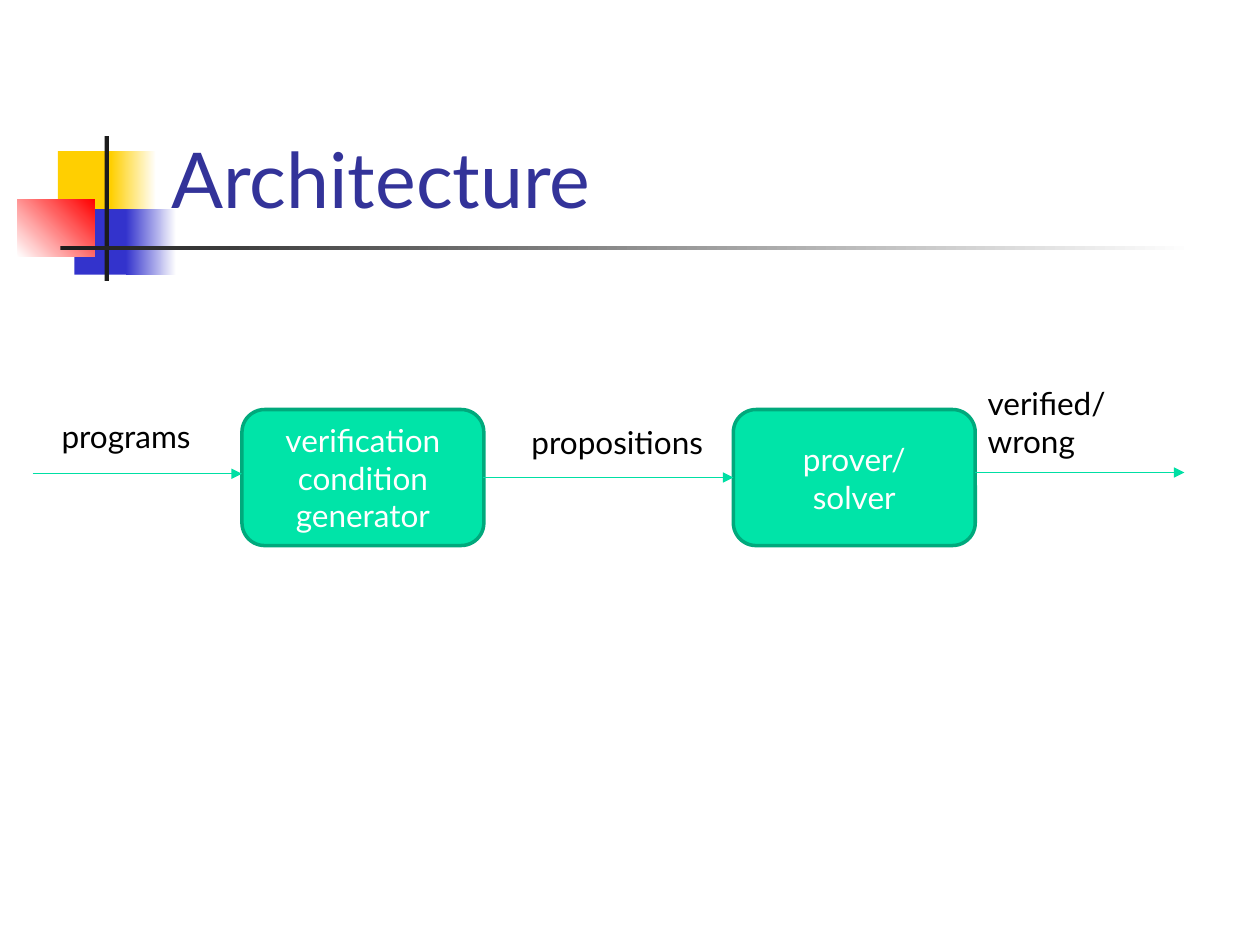
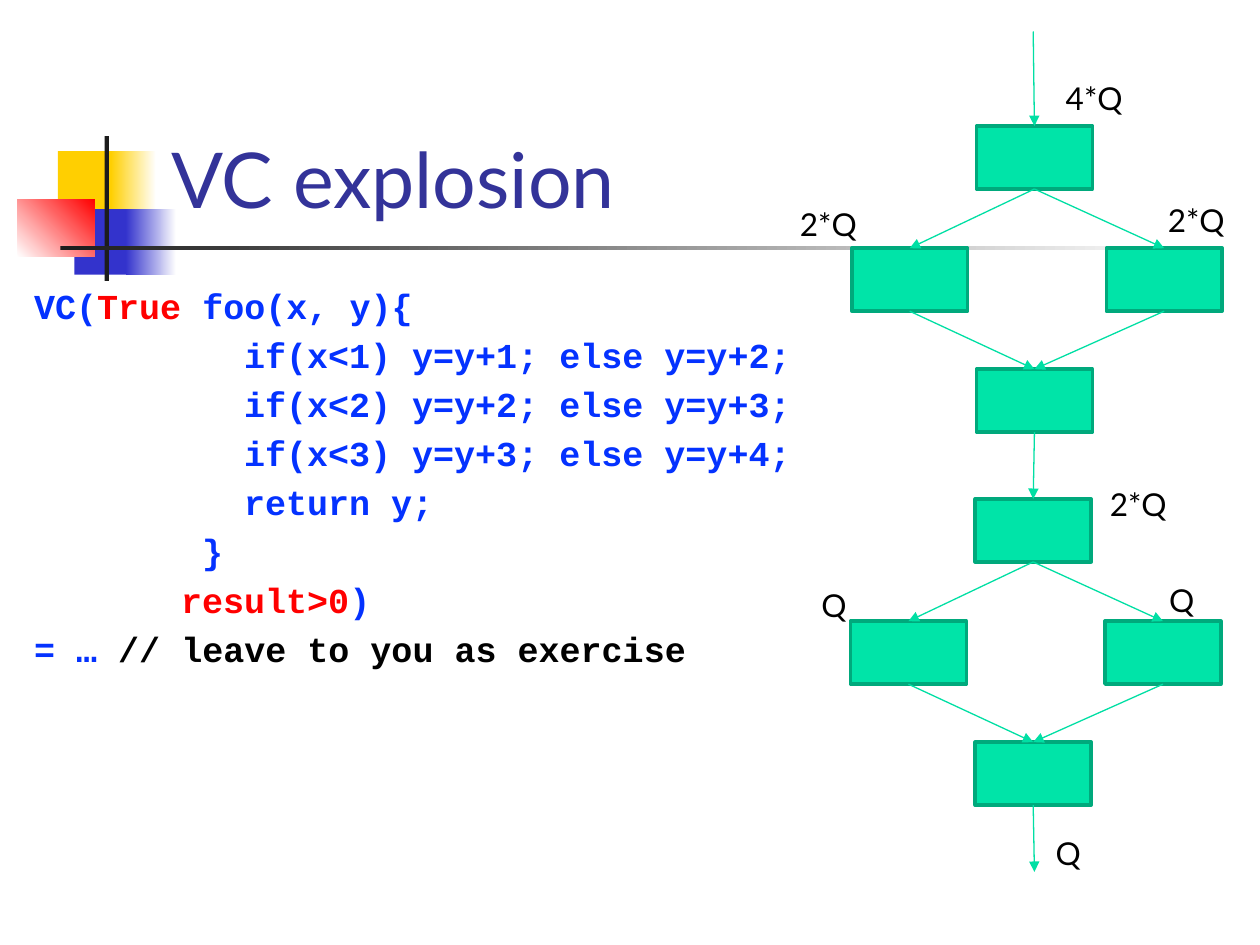
"""Build two slides on program verification: the tool architecture and the VC explosion."""
from dataclasses import dataclass

from lxml.etree import SubElement
from pptx import Presentation
from pptx.dml.color import RGBColor
from pptx.enum.shapes import MSO_CONNECTOR, MSO_SHAPE
from pptx.enum.text import MSO_ANCHOR, MSO_AUTO_SIZE, PP_ALIGN
from pptx.oxml.ns import qn
from pptx.util import Inches, Pt


@dataclass(frozen=True)
class Theme:
    heading: str = "333399"
    yellow: str = "FFCF01"
    blue: str = "3333CC"
    red: str = "FF0000"
    ink: str = "1C1C1C"
    white: str = "FFFFFF"
    black: str = "000000"
    block: str = "00E4A8"
    block_edge: str = "00A97C"
    arrow: str = "00DFA4"
    code: str = "0432FF"
    text_font: str = "Lato"
    code_font: str = "Courier New"
    title_size: int = 44
    label_size: int = 18
    code_size: int = 20


theme = Theme()
prs = Presentation()
prs.slide_width, prs.slide_height = Inches(10), Inches(7.5)
cell = prs.slide_width / 100


def grid(*cells):
    """Turn counts of square cells, 100 across the slide, into lengths."""
    return [round(count * cell) for count in cells]


def style_font(font, size, color, name=theme.text_font):
    """Set size, colour and typeface of a font."""
    font.size, font.name = Pt(size), name
    font.color.rgb = RGBColor.from_string(color)


architecture = prs.slides.add_slide(prs.slide_layouts[5])
explosion = prs.slides.add_slide(prs.slide_layouts[1])

ornaments = [
    ((4.6, 12, 4.8, 5.2), [theme.yellow], 0),
    ((8.8, 12, 3.6, 5.2), [theme.yellow, theme.white], 0),
    ((5.9, 16.6, 4.6, 5.2), [theme.blue], 0),
    ((10, 16.6, 4, 5.2), [theme.blue, theme.white], 0),
    ((1.4, 15.8, 6.1, 4.6), [theme.white, theme.red], 45),
    ((8.3, 10.8, 0.35, 11.5), [theme.ink], 0),
    ((4.8, 19.5, 90, 0.35), [theme.ink, theme.white], 0),
]
master_tree = prs.slide_master.shapes.element
for number, (place, colors, angle) in enumerate(ornaments):
    ornament = architecture.shapes.add_shape(MSO_SHAPE.RECTANGLE, *grid(*place))
    ornament.shadow.inherit = False
    ornament.line.fill.background()
    if len(colors) == 1:
        ornament.fill.solid()
        ornament.fill.fore_color.rgb = RGBColor.from_string(colors[0])
    else:
        ornament.fill.gradient()
        ornament.fill.gradient_angle = angle
        for stop, position, color in zip(ornament.fill.gradient_stops, (0, 1), colors):
            stop.position = position
            stop.color.rgb = RGBColor.from_string(color)
    ornament.element.nvSpPr.cNvPr.id = 20 + number
    master_tree.append(ornament.element)

stage_width, stage_height, stage_top = 19.2, 10.8, 32.5
stages = [
    (19.2, stage_top, "verification\ncondition\ngenerator"),
    (58.2, stage_top, "prover/\nsolver"),
]
stage_arrows = [
    ((2.6, 37.6), (19.2, 37.6)),
    ((38.3, 37.9), (58.2, 37.9)),
    ((77.4, 37.5), (94, 37.5)),
]
stage_labels = [
    ((3.9, 32.6, 17.4, 4), "programs"),
    ((41.2, 33.1, 17.4, 4), "propositions"),
    ((77.4, 30, 17.4, 7.1), "verified/\nwrong"),
]

node_width, node_height = 9.2, 5
diamond = [(0, 0), (-9.9, 9.7), (10.3, 9.7), (0, 19.3)]
branches = [(0, 1), (0, 2), (1, 3), (2, 3)]
nodes = []
node_arrows = [
    ((82, 2.5), (82.1, 10)),
    ((82.1, 34.3), (82, 39.6)),
    ((82, 63.9), (82.1, 69.2)),
]
for left, top in [(77.5, 10), (77.4, 39.6)]:
    corners = [(left + dx, top + dy) for dx, dy in diamond]
    nodes += [(x, y, "") for x, y in corners]
    for source, target in branches:
        (x1, y1), (x2, y2) = corners[source], corners[target]
        node_arrows.append(
            ((x1 + node_width / 2, y1 + node_height), (x2 + node_width / 2, y2))
        )
node_labels = [
    ((x, y, 7.5, 4), size)
    for x, y, size in [
        (82.8, 65.7, "Q"),
        (64.2, 46, "Q"),
        (91.8, 45.6, "Q"),
        (87.1, 38, "2*Q"),
        (62.5, 15.8, "2*Q"),
        (91.7, 15.5, "2*Q"),
        (83.6, 5.8, "4*Q"),
    ]
]

code_lines = [
    (0, [("VC(", theme.code), ("True", theme.red), (" foo(x, y){", theme.code)]),
    (10, [("if(x<1) y=y+1; else y=y+2;", theme.code)]),
    (10, [("if(x<2) y=y+2; else y=y+3;", theme.code)]),
    (10, [("if(x<3) y=y+3; else y=y+4;", theme.code)]),
    (10, [("return y;", theme.code)]),
    (8, [("}", theme.code)]),
    (7, [("result>0", theme.red), (")", theme.code)]),
    (0, [("= … ", theme.code), ("// leave to you as exercise", theme.black)]),
]
character_width = Pt(0.6 * theme.code_size)
body = explosion.placeholders[1]
body.left, body.top, body.width, body.height = grid(1.7, 22.1, 96.3, 45)
listing = body.text_frame
listing.auto_size = MSO_AUTO_SIZE.NONE
for number, (indent, spans) in enumerate(code_lines):
    line = listing.add_paragraph() if number else listing.paragraphs[0]
    properties = line._p.get_or_add_pPr()
    properties.set("marL", str(indent * character_width))
    properties.set("indent", "0")
    SubElement(properties, qn("a:buNone"))
    line.font.size, line.font.name = Pt(theme.code_size), theme.code_font
    line.font.bold = True
    for text, color in spans:
        span = line.add_run()
        span.text = text
        span.font.color.rgb = RGBColor.from_string(color)

pages = [
    (architecture, "Architecture", MSO_SHAPE.ROUNDED_RECTANGLE,
     (stage_width, stage_height), stages, stage_arrows, stage_labels),
    (explosion, "VC explosion", MSO_SHAPE.RECTANGLE,
     (node_width, node_height), nodes, node_arrows, node_labels),
]
for slide, heading, outline, size, blocks, arrows, labels in pages:
    title = slide.shapes.title
    title.left, title.top, title.width, title.height = grid(12.6, 2.3, 85.2, 16)
    title.text_frame.text = heading
    title.text_frame.auto_size = MSO_AUTO_SIZE.NONE
    title.text_frame.vertical_anchor = MSO_ANCHOR.BOTTOM
    title.text_frame.paragraphs[0].alignment = PP_ALIGN.LEFT
    style_font(title.text_frame.paragraphs[0].font, theme.title_size, theme.heading)

    for left, top, text in blocks:
        block = slide.shapes.add_shape(outline, *grid(left, top, *size))
        block.shadow.inherit = False
        block.fill.solid()
        block.fill.fore_color.rgb = RGBColor.from_string(theme.block)
        block.line.color.rgb = RGBColor.from_string(theme.block_edge)
        block.line.width = Pt(2)
        if text:
            block.text_frame.text = text
            block.text_frame.vertical_anchor = MSO_ANCHOR.MIDDLE
            for paragraph in block.text_frame.paragraphs:
                paragraph.alignment = PP_ALIGN.CENTER
                style_font(paragraph.font, theme.label_size, theme.white)

    for start, end in arrows:
        arrow = slide.shapes.add_connector(
            MSO_CONNECTOR.STRAIGHT, *grid(*start, *end)
        )
        arrow.line.color.rgb = RGBColor.from_string(theme.arrow)
        arrow.line.width = Pt(0.75)
        SubElement(arrow.line._get_or_add_ln(), qn("a:tailEnd"), type="triangle")
        SubElement(arrow.element.spPr, qn("a:effectLst"))

    for place, text in labels:
        label = slide.shapes.add_textbox(*grid(*place)).text_frame
        label.word_wrap = True
        label.auto_size = MSO_AUTO_SIZE.SHAPE_TO_FIT_TEXT
        label.text = text
        for paragraph in label.paragraphs:
            style_font(paragraph.font, theme.label_size, theme.black)

prs.save("out.pptx")
